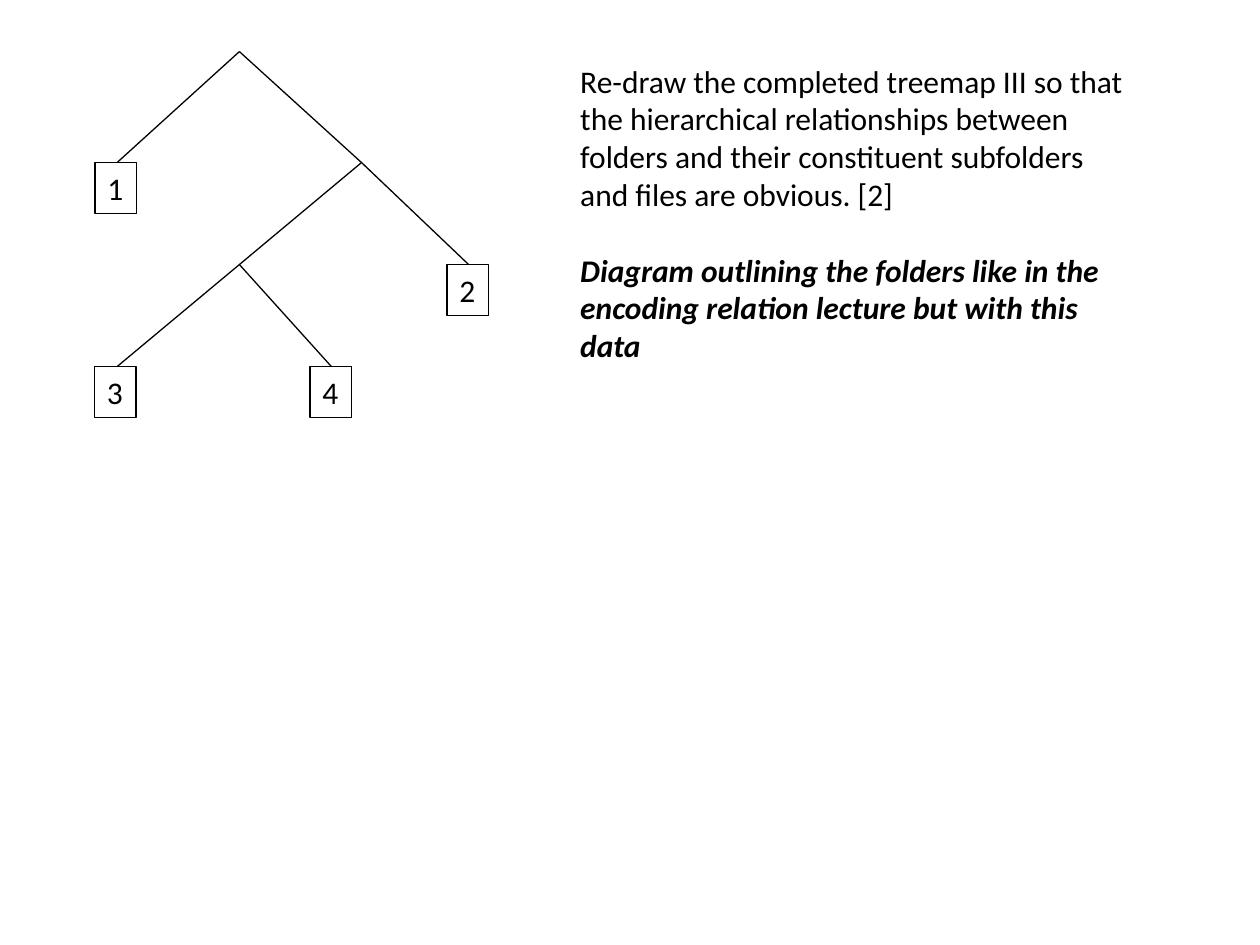
from lxml import etree
from pptx import Presentation
from pptx.dml.color import RGBColor
from pptx.enum import shapes, text
from pptx.oxml.ns import qn
from pptx.util import Pt

BLACK = RGBColor(0, 0, 0)
FONT = "Calibri"
FONT_SIZE = 18
LEAF_WIDTH, LEAF_HEIGHT = 23.7, 29.1
NODES = {
    "root": (82.8, 0), "right": (152.6, 63.4), "inner": (82.8, 121.7),
    "1": (12.9, 63.4), "2": (213.8, 121.7), "3": (12.9, 180), "4": (135.4, 180),
}
BRANCHES = {"root": ("1", "right"), "right": ("inner", "2"), "inner": ("3", "4")}
LEAF_OFFSETS = {"1": 12.6, "3": 12.9, "4": 12.3, "2": 12.3}


def add_run(paragraph, words, emphasis=False):
    """Add one styled run to a paragraph."""
    run = paragraph.add_run()
    run.text = words
    run.font.name = FONT
    run.font.size = Pt(FONT_SIZE)
    run.font.color.rgb = BLACK
    if emphasis:
        run.font.bold = run.font.italic = True


def add_branch(group, start, end):
    """Draw a straight line between two points."""
    branch = group.shapes.add_connector(
        shapes.MSO_CONNECTOR.STRAIGHT, *(Pt(value) for value in (*start, *end)))
    branch.line.color.rgb = BLACK
    branch.line.width = Pt(0.75)
    etree.SubElement(branch.element.spPr, qn("a:effectLst"))


def add_leaf(group, label, left, top):
    """Draw a numbered leaf box."""
    leaf = group.shapes.add_shape(
        shapes.MSO_SHAPE.RECTANGLE, Pt(left), Pt(top), Pt(LEAF_WIDTH), Pt(LEAF_HEIGHT))
    leaf.shadow.inherit = False
    leaf.fill.background()
    leaf.line.color.rgb = BLACK
    leaf.line.width = Pt(0.75)
    frame = leaf.text_frame
    frame.word_wrap = False
    frame.auto_size = text.MSO_AUTO_SIZE.SHAPE_TO_FIT_TEXT
    frame.vertical_anchor = text.MSO_ANCHOR.TOP
    paragraph = frame.paragraphs[0]
    paragraph.alignment = text.PP_ALIGN.LEFT
    add_run(paragraph, label)


def add_tree(slide, left, top):
    """Draw the folder tree from its top left corner."""
    group = slide.shapes.add_group_shape()
    places = {name: (left + x, top + y) for name, (x, y) in NODES.items()}
    for parent, children in BRANCHES.items():
        for child in children:
            add_branch(group, places[parent], places[child])
    for label, offset in LEAF_OFFSETS.items():
        x, y = places[label]
        add_leaf(group, label, x - offset, y)


def add_question(slide, left, top, width, height):
    """Write the question and its emphasised answer."""
    box = slide.shapes.add_textbox(Pt(left), Pt(top), Pt(width), Pt(height))
    frame = box.text_frame
    frame.word_wrap = True
    frame.auto_size = text.MSO_AUTO_SIZE.SHAPE_TO_FIT_TEXT
    add_run(frame.paragraphs[0],
            "Re-draw the completed treemap III so that the hierarchical relationships "
            "between folders and their constituent subfolders and files are obvious. [2]")
    answer = frame.add_paragraph()
    answer.space_before = Pt(21.6)
    add_run(answer,
            "Diagram outlining the folders like in the encoding relation lecture "
            "but with this data", emphasis=True)


def main():
    """Build and save the slide."""
    presentation = Presentation()
    presentation.slide_width, presentation.slide_height = Pt(720), Pt(540)
    slide = presentation.slides.add_slide(presentation.slide_layouts[6])
    add_tree(slide, 54, 29.5)
    add_question(slide, 324.5, 31.7, 328.3, 181.4)
    presentation.save("out.pptx")


main()
